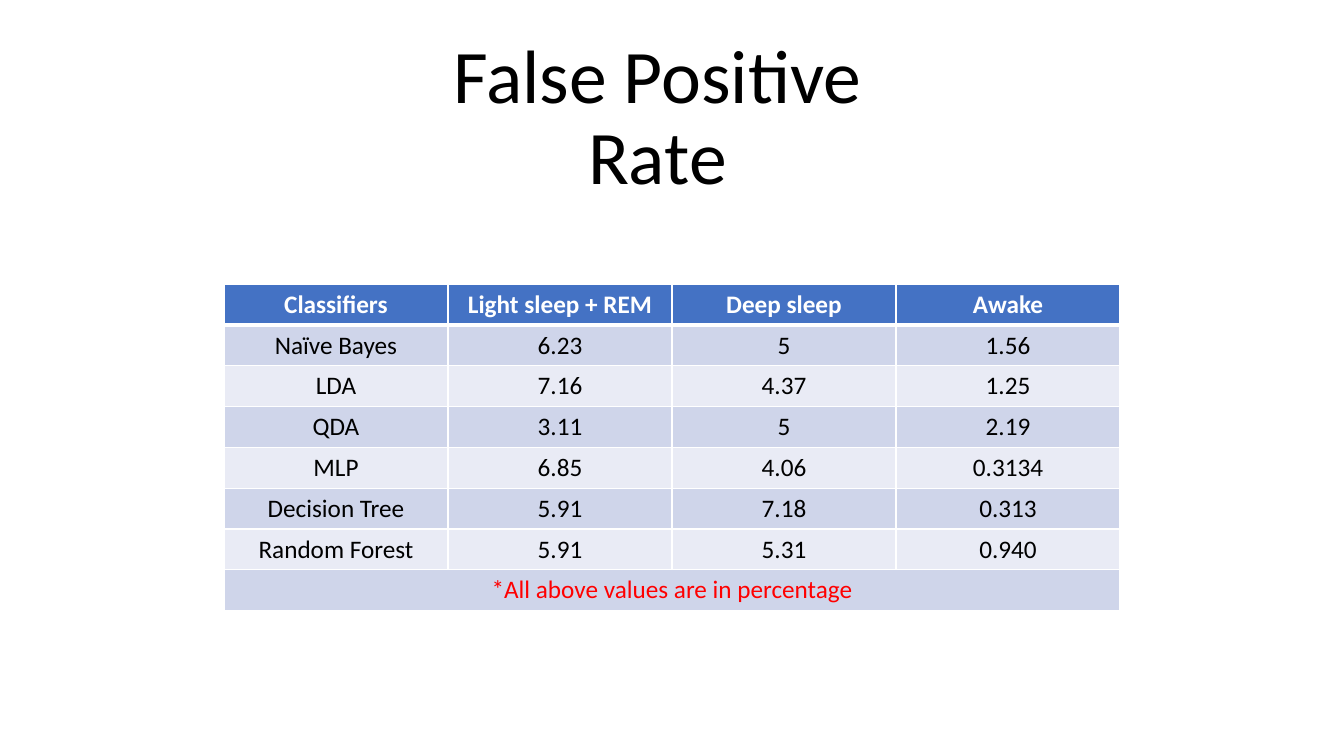
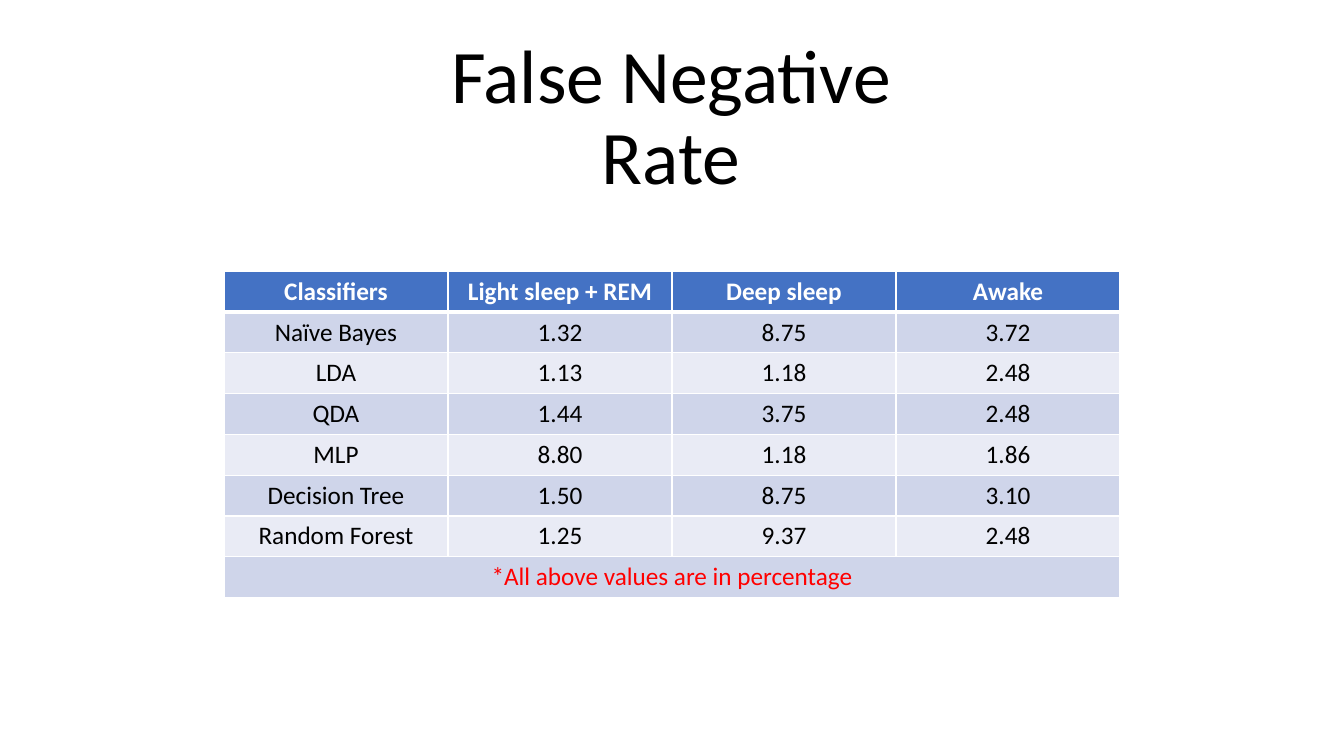
import pptx
import pptx.dml.color
import pptx.enum.text
import pptx.oxml
import pptx.oxml.ns
import pptx.util

RGB = pptx.dml.color.RGBColor
Inches = pptx.util.Inches
Pt = pptx.util.Pt
ALIGN = pptx.enum.text.PP_ALIGN
ANCHOR = pptx.enum.text.MSO_ANCHOR

# Shared look
BLACK = RGB(0x00, 0x00, 0x00)
WHITE = RGB(0xFF, 0xFF, 0xFF)
RED = RGB(0xFF, 0x00, 0x00)
HEADER_BLUE = RGB(0x44, 0x72, 0xC4)
BANDS = (RGB(0xCF, 0xD5, 0xEA), RGB(0xE9, 0xEB, 0xF5))
FONT = "Calibri"

# Slide size and grid, in inches
SLIDE_W, SLIDE_H = 13.33, 7.5
TITLE_LEFT, TITLE_TOP, TITLE_H = 4.37, 0.31, 1.75
TABLE_LEFT, TABLE_W, TABLE_H = SLIDE_W / 6, SLIDE_W * 2 / 3, 3.24

HEADERS = ("Classifiers", "Light sleep + REM", "Deep sleep", "Awake")
CLASSIFIERS = ("Naïve Bayes", "LDA", "QDA", "MLP", "Decision Tree", "Random Forest")
FOOTNOTE = "*All above values are in percentage"

RATES = (
    {
        "title": "False Positive Rate", "title_w": 4.3, "table_top": 2.82,
        "values": (("6.23", "5", "1.56"), ("7.16", "4.37", "1.25"),
                   ("3.11", "5", "2.19"), ("6.85", "4.06", "0.3134"),
                   ("5.91", "7.18", "0.313"), ("5.91", "5.31", "0.940")),
    },
    {
        "title": "False Negative Rate", "title_w": 4.57, "table_top": 2.69,
        "values": (("1.32", "8.75", "3.72"), ("1.13", "1.18", "2.48"),
                   ("1.44", "3.75", "2.48"), ("8.80", "1.18", "1.86"),
                   ("1.50", "8.75", "3.10"), ("1.25", "9.37", "2.48")),
    },
)


def write_text(tf, text, *, size=18, color=BLACK, bold=False, spacing=None):
    p = tf.paragraphs[0]
    p.alignment = ALIGN.CENTER
    if spacing:
        p.line_spacing = spacing
    r = p.add_run()
    r.text = text
    r.font.name = FONT
    r.font.size = Pt(size)
    r.font.bold = bold
    r.font.color.rgb = color


def set_borders(cell, **widths):
    """Draw white cell borders; widths in points, keyed L, R, T and B."""
    tc_pr = cell._tc.get_or_add_tcPr()
    for side in "LRTB":
        tc_pr.append(pptx.oxml.parse_xml(
            f'<a:ln{side} {pptx.oxml.ns.nsdecls("a")} w="{Pt(widths.get(side, 1))}">'
            f'<a:solidFill><a:srgbClr val="{WHITE}"/></a:solidFill></a:ln{side}>'))


def add_title(slide, text, box):
    sp = slide.shapes.add_textbox(*map(Inches, box))
    tf = sp.text_frame
    tf.word_wrap = True
    tf.vertical_anchor = ANCHOR.MIDDLE
    write_text(tf, text, size=54, spacing=0.9)


def add_rate_table(slide, values, box):
    rows = [HEADERS]
    rows += [(name, *rates) for name, rates in zip(CLASSIFIERS, values)]
    rows.append((FOOTNOTE,))
    last = len(rows) - 1
    table = slide.shapes.add_table(
        len(rows), len(HEADERS), *map(Inches, box)).table
    table.horz_banding = False

    # Borders and fills; a thicker rule runs below the header
    for i, row in enumerate(table.rows):
        for cell in row.cells:
            set_borders(cell, T=3 if i == 1 else 1, B=3 if i == 0 else 1)
            cell.fill.solid()
            cell.fill.fore_color.rgb = BANDS[(i - 1) % 2] if i else HEADER_BLUE

    # Text, with the footnote across the full width
    table.cell(last, 0).merge(table.cell(last, len(HEADERS) - 1))
    for i, texts in enumerate(rows):
        color = {0: WHITE, last: RED}.get(i, BLACK)
        for j, text in enumerate(texts):
            write_text(table.cell(i, j).text_frame, text, color=color, bold=i == 0)


def add_rate_slide(prs, rate):
    slide = prs.slides.add_slide(prs.slide_layouts[6])
    add_title(slide, rate["title"],
              (TITLE_LEFT, TITLE_TOP, rate["title_w"], TITLE_H))
    add_rate_table(slide, rate["values"],
                   (TABLE_LEFT, rate["table_top"], TABLE_W, TABLE_H))


def main():
    prs = pptx.Presentation()
    prs.slide_width, prs.slide_height = Inches(SLIDE_W), Inches(SLIDE_H)
    for rate in RATES:
        add_rate_slide(prs, rate)
    prs.save("out.pptx")


if __name__ == "__main__":
    main()
